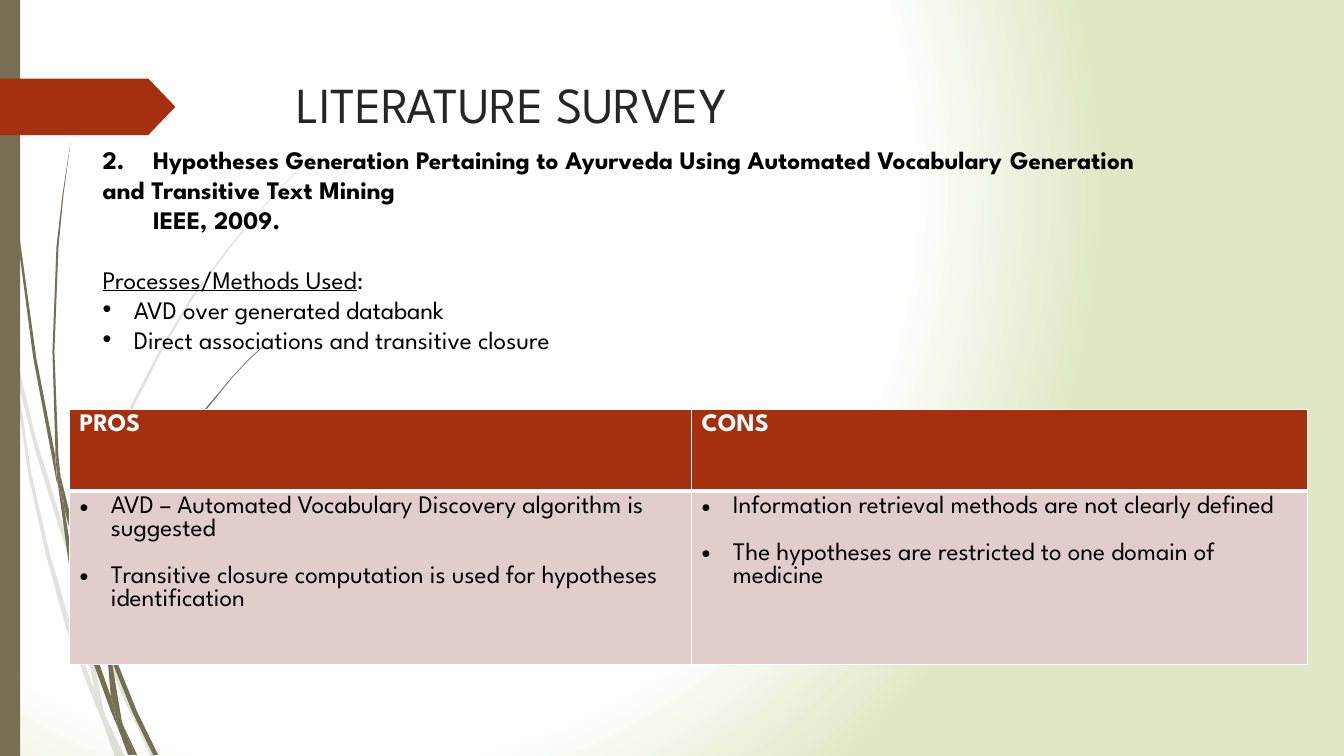
from pptx import Presentation
from pptx.dml.color import RGBColor
from pptx.enum.shapes import MSO_SHAPE
from pptx.oxml import parse_xml
from pptx.oxml.ns import nsdecls, qn
from pptx.util import Inches, Pt

RECTANGLE = MSO_SHAPE.RECTANGLE
PENTAGON = MSO_SHAPE.PENTAGON
OLIVE = RGBColor(0x76, 0x6F, 0x54)
RUST = RGBColor(0xA5, 0x30, 0x10)
PINK = RGBColor(0xE1, 0xCD, 0xCC)
WHITE = RGBColor(0xFF, 0xFF, 0xFF)
PALE_GREEN = RGBColor(0xDF, 0xE8, 0xC4)
CHARCOAL = RGBColor(0x26, 0x26, 0x26)
BLACK = RGBColor(0, 0, 0)
FONT = "League Spartan"
BODY_SIZE = 18
LINE_FACTOR = 1.19
HANGING_INDENT = Inches(0.31)

PALE_WISPS = [
    [(0.11, 3.5), (0.09, 3.22), (0, 2.82), (0, 2.99), (0.1, 3.44)],
    [(0.58, 5.22), (0.84, 5.99), (0.85, 5.86), (0.62, 5.2), (0.36, 4.36), (0.14, 3.45),
     (0.17, 3.76), (0.35, 4.47)],
    [(0.92, 6.07), (0.88, 5.96), (0.88, 6.1), (1.23, 6.94), (1.5, 7.51), (1.55, 7.51),
     (1.27, 6.92)],
    [(1.19, 7.51), (1.24, 7.51), (1.05, 7.11)],
    [(0.93, 6.83), (0.7, 6.19), (0.49, 5.48), (0.31, 4.69), (0.17, 3.76), (0.11, 3.5),
     (0.28, 4.7), (0.45, 5.48), (0.65, 6.21), (0.92, 6.93), (1.01, 7.14), (0.99, 7.07)],
    [(0.84, 5.99), (0.87, 6.46), (0.93, 6.83), (0.96, 6.92), (1.05, 7.11), (1.03, 7.06),
     (0.91, 6.46), (0.88, 6.1), (0.88, 6.08)],
    [(0.88, 5.84), (0.96, 5.2), (1.1, 4.62), (1.33, 4.03), (1.6, 3.49), (1.92, 2.95),
     (2.29, 2.45), (2.68, 1.98), (2.9, 1.75), (3.12, 1.54), (3.12, 1.53), (2.89, 1.75),
     (2.68, 1.97), (2.28, 2.44), (1.9, 2.94), (1.58, 3.48), (1.3, 4.02), (1.07, 4.61),
     (0.92, 5.2), (0.85, 5.84), (0.85, 5.86), (0.88, 5.96)],
    [(1.01, 7.14), (1.14, 7.51), (1.19, 7.51)],
    [(0.88, 6.08), (0.88, 5.96), (0.85, 5.86), (0.84, 5.99)],
    [(0.96, 6.92), (0.93, 6.83), (0.99, 7.07), (1.01, 7.14), (1.19, 7.51), (1.05, 7.11)],
]
DARK_WISPS = [
    [(0.07, 1.1), (0.17, 2.33), (0.33, 3.55), (0.56, 4.77), (0.57, 4.81), (0.55, 4.57),
     (0.55, 4.53), (0.36, 3.55), (0.19, 2.32), (0.08, 1.09), (0.05, 0.48), (0.04, 0),
     (0.03, 0), (0.04, 0.48)],
    [(0.88, 5.92), (1.06, 6.45), (1.06, 6.31), (0.93, 5.9), (0.75, 5.32), (0.6, 4.72),
     (0.64, 5.05), (0.75, 5.49)],
    [(1.13, 6.49), (1.1, 6.41), (1.11, 6.56), (1.32, 7.08), (1.52, 7.49), (1.57, 7.49),
     (1.36, 7.06)],
    [(1.1, 6.91), (0.98, 6.57), (0.84, 6.07), (0.72, 5.56), (0.64, 5.05), (0.57, 4.77),
     (0.68, 5.57), (0.79, 6.08), (0.93, 6.59), (1.11, 7.08), (1.17, 7.22), (1.16, 7.17)],
    [(0.6, 4.72), (0.58, 4.53), (0.54, 3.49), (0.58, 2.45), (0.63, 1.93), (0.7, 1.41),
     (0.62, 1.93), (0.56, 2.45), (0.52, 3.49), (0.55, 4.49)],
    [(1.33, 7.49), (1.36, 7.49), (1.22, 7.19)],
    [(0.57, 4.77), (0.64, 5.05), (0.6, 4.72), (0.55, 4.49), (0.55, 4.53)],
    [(1.11, 6.33), (1.15, 5.92), (1.25, 5.52), (1.4, 5.13), (1.58, 4.76), (1.8, 4.4),
     (2.05, 4.06), (2.31, 3.74), (2.45, 3.59), (2.61, 3.44), (2.6, 3.44), (2.45, 3.58),
     (2.31, 3.73), (2.04, 4.05), (1.79, 4.39), (1.56, 4.74), (1.37, 5.12), (1.22, 5.51),
     (1.12, 5.9), (1.06, 6.31), (1.1, 6.41)],
    [(1.17, 7.22), (1.27, 7.49), (1.31, 7.49)],
    [(1.06, 6.45), (1.1, 6.91), (1.16, 7.06), (1.22, 7.19), (1.21, 7.16), (1.11, 6.56),
     (1.09, 6.51)],
    [(1.06, 6.45), (1.09, 6.51), (1.11, 6.56), (1.1, 6.41), (1.06, 6.31)],
    [(1.16, 7.06), (1.1, 6.91), (1.16, 7.17), (1.17, 7.22), (1.3, 7.49), (1.33, 7.49),
     (1.22, 7.19)],
]
TABLE_ROWS = [
    [["PROS"], ["CONS"]],
    [["AVD – Automated Vocabulary Discovery algorithm is suggested",
      "Transitive closure computation is used for hypotheses identification"],
     ["Information retrieval methods are not clearly defined",
      "The hypotheses are restricted to one domain of medicine"]],
]


def paint(shape, color):
    """Give a shape a plain fill without line or shadow."""
    shape.shadow.inherit = False
    shape.fill.solid()
    shape.fill.fore_color.rgb = color
    shape.line.fill.background()


def format_runs(paragraph, size, color, bold=False):
    """Apply the slide's font to every run of a paragraph."""
    for run in paragraph.runs:
        run.font.name = FONT
        run.font.size = Pt(size)
        run.font.bold = bold
        run.font.color.rgb = color


def add_bullet(paragraph):
    """Set a hanging round bullet."""
    properties = paragraph._p.get_or_add_pPr()
    properties.set("marL", str(HANGING_INDENT))
    properties.set("indent", str(-HANGING_INDENT))
    properties.append(parse_xml(f'<a:buFont {nsdecls("a")} typeface="Arial"/>'))
    properties.append(parse_xml(f'<a:buChar {nsdecls("a")} char="•"/>'))


def add_background(slide):
    """Fill the slide with a circular white to green gradient."""
    fill = slide.background.fill
    fill.gradient()
    for stop, position, color in zip(fill.gradient_stops, (0.74, 1), (WHITE, PALE_GREEN)):
        stop.position = position
        stop.color.rgb = color
    gradient = slide.element.find(".//" + qn("a:gradFill"))
    gradient.replace(gradient.find(qn("a:lin")), parse_xml(
        f'<a:path {nsdecls("a")} path="circle">'
        '<a:fillToRect l="50000" t="50000" r="100000" b="100000"/></a:path>'))


def add_wisps(slide, left, top, outlines, opacity):
    """Draw a group of grass blades from their outlines."""
    group = slide.shapes.add_group_shape()
    for outline in outlines:
        points = [(Inches(left + x), Inches(top + y)) for x, y in outline]
        builder = group.shapes.build_freeform(*points[0])
        builder.add_line_segments(points[1:], close=True)
        blade = builder.convert_to_shape()
        paint(blade, OLIVE)
        if opacity < 100:
            color = blade._element.spPr.find(qn("a:solidFill"))[0]
            color.append(parse_xml(f'<a:alpha {nsdecls("a")} val="{opacity * 1000}"/>'))


def add_decoration(slide, left, top, height):
    """Draw the blades, the side bar and the arrow tab."""
    add_wisps(slide, left, top, PALE_WISPS, 20)
    add_wisps(slide, left, top, DARK_WISPS, 100)
    bar = slide.shapes.add_shape(
        RECTANGLE, Inches(left), Inches(top), Inches(0.2), Inches(height))
    paint(bar, OLIVE)
    tab = slide.shapes.add_shape(
        PENTAGON, Inches(left), Inches(top + 0.78), Inches(1.74), Inches(0.56))
    tab.adjustments[0] = 0.48
    paint(tab, RUST)


def add_text(slide, left, top, width, height, lines, size):
    """Add a wrapping text box and return its paragraphs."""
    box = slide.shapes.add_textbox(Inches(left), Inches(top), Inches(width), Inches(height))
    box.text_frame.word_wrap = True
    box.text_frame.text = "\n".join(lines)
    for paragraph in box.text_frame.paragraphs:
        paragraph.line_spacing = Pt(size * LINE_FACTOR)
    return box.text_frame.paragraphs


def add_title(slide, left, top, width, height):
    """Add the slide title."""
    title, = add_text(slide, left, top, width, height, ["LITERATURE SURVEY"], 36)
    format_runs(title, 36, CHARCOAL)


def add_paper_summary(slide, left, top, width, height):
    """Add the paper's reference and the methods it uses."""
    paragraphs = add_text(slide, left, top, width, height, [
        "2. \tHypotheses Generation Pertaining to Ayurveda Using Automated Vocabulary "
        "\tGeneration and Transitive Text Mining",
        "\tIEEE, 2009.",
        "Processes/Methods Used",
        "AVD over generated databank",
        "Direct associations and transitive closure"], BODY_SIZE)
    reference, methods, bullets = paragraphs[:2], paragraphs[2], paragraphs[3:]
    methods.add_run().text = ":"
    methods.space_before = Pt(BODY_SIZE * LINE_FACTOR)
    for paragraph in bullets:
        add_bullet(paragraph)
    for paragraph in paragraphs:
        format_runs(paragraph, BODY_SIZE, BLACK, bold=paragraph in reference)
    methods.runs[0].font.underline = True
    for paragraph in reference:
        stops = "".join(f'<a:tab pos="{Inches(x)}" algn="l"/>' for x in (0.5, 9))
        paragraph._p.get_or_add_pPr().append(
            parse_xml(f'<a:tabLst {nsdecls("a")}>{stops}</a:tabLst>'))


def set_borders(cell, top, bottom):
    """Draw white cell borders with the given top and bottom widths."""
    widths = {"lnL": 1, "lnR": 1, "lnT": top, "lnB": bottom}
    for index, (side, width) in enumerate(widths.items()):
        cell._tc.get_or_add_tcPr().insert(index, parse_xml(
            f'<a:{side} {nsdecls("a")} w="{Pt(width)}"><a:solidFill>'
            f'<a:srgbClr val="{WHITE}"/></a:solidFill></a:{side}>'))


def add_comparison(slide, left, top, width, height):
    """Add the table of pros and cons."""
    table = slide.shapes.add_table(
        2, 2, Inches(left), Inches(top), Inches(width), Inches(height)).table
    table.columns[0].width = Inches(6.17)
    table.columns[1].width = Inches(width - 6.17)
    table.rows[0].height = Inches(0.81)
    table.rows[1].height = Inches(height - 0.81)
    for row, texts in enumerate(TABLE_ROWS):
        header = row == 0
        for column, lines in enumerate(texts):
            cell = table.cell(row, column)
            cell.text_frame.text = "\n".join(lines)
            cell.fill.solid()
            cell.fill.fore_color.rgb = RUST if header else PINK
            set_borders(cell, 1 if header else 3, 3 if header else 1)
            for index, paragraph in enumerate(cell.text_frame.paragraphs):
                format_runs(paragraph, BODY_SIZE, WHITE if header else BLACK, bold=header)
                if index:
                    paragraph.space_before = Pt(16.6)
                if not header:
                    add_bullet(paragraph)


def main():
    """Build and save the slide."""
    presentation = Presentation()
    presentation.slide_width = Inches(13.33)
    presentation.slide_height = Inches(7.5)
    slide = presentation.slides.add_slide(presentation.slide_layouts[6])
    add_background(slide)
    add_decoration(slide, 0, 0, 7.5)
    add_title(slide, 2.84, 0.68, 9.75, 1.4)
    add_comparison(slide, 0.69, 4.06, 12.28, 2.53)
    add_paper_summary(slide, 0.92, 1.38, 10.46, 2.52)
    presentation.save("out.pptx")


if __name__ == "__main__":
    main()
